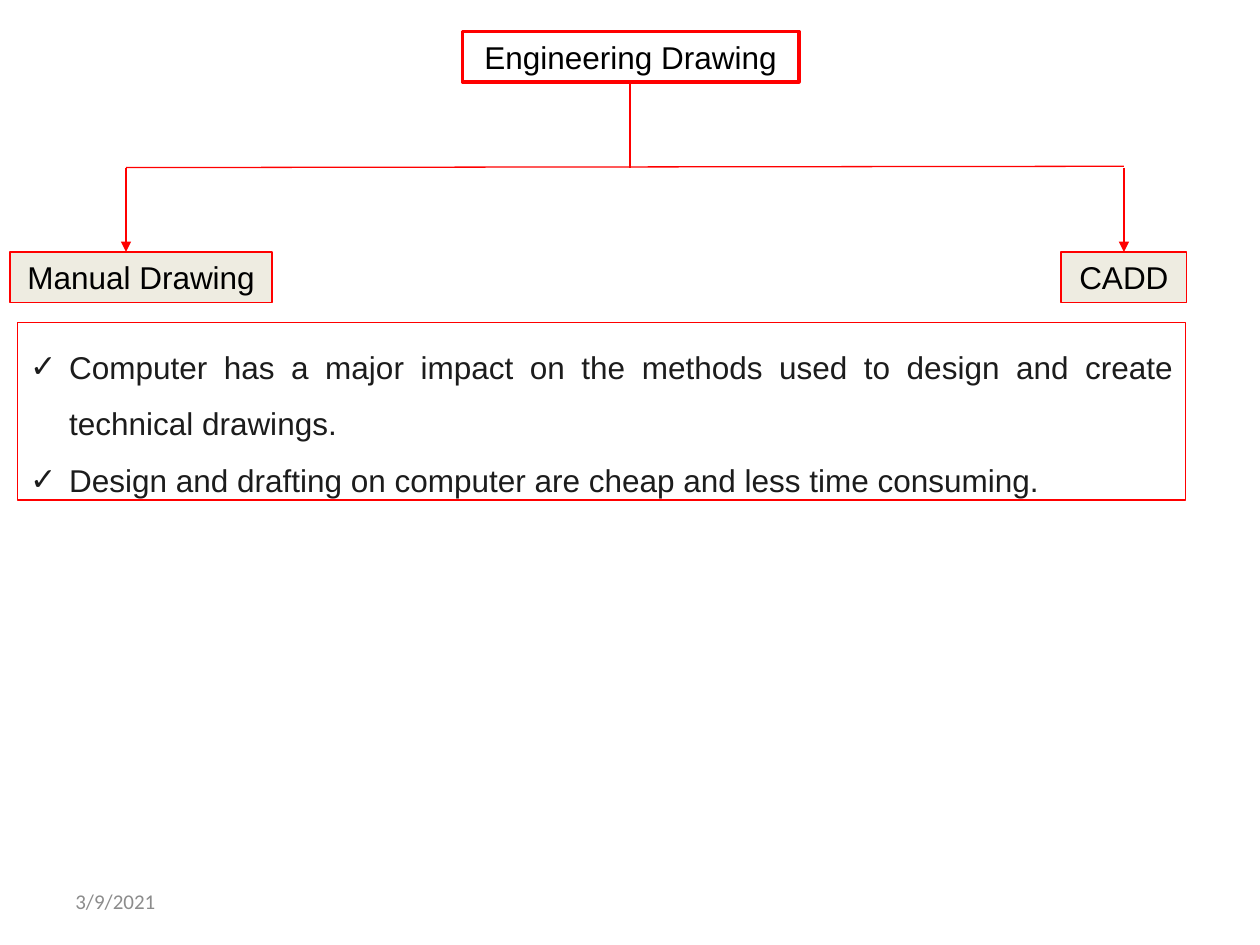
from lxml import etree
from pptx import Presentation
from pptx.dml.color import RGBColor
from pptx.enum.shapes import MSO_CONNECTOR, MSO_SHAPE
from pptx.enum.text import MSO_ANCHOR, MSO_AUTO_SIZE, PP_ALIGN
from pptx.oxml.ns import qn
from pptx.util import Inches, Pt

RECTANGLE = MSO_SHAPE.RECTANGLE
STRAIGHT = MSO_CONNECTOR.STRAIGHT
CENTER, JUSTIFY, LEFT = PP_ALIGN.CENTER, PP_ALIGN.JUSTIFY, PP_ALIGN.LEFT
TOP, MIDDLE = MSO_ANCHOR.TOP, MSO_ANCHOR.MIDDLE
GROW = MSO_AUTO_SIZE.SHAPE_TO_FIT_TEXT

RED, WHITE, CREAM = "FF0000", "FFFFFF", "EEECE1"
BLACK, CHARCOAL, GREY = "000000", "1C1C1C", "8C8C8C"
INDENT = 0.31

ADVANTAGES = [
    "Computer has a major impact on the methods used to design and create technical drawings.",
    "Design and drafting on computer are cheap and less time consuming.",
]


def color(value):
    return RGBColor.from_string(value)


def format_paragraph(paragraph, alignment, size, font_name, font_color):
    paragraph.alignment = alignment
    for run in paragraph.runs:
        run.font.size = Pt(size)
        run.font.name = font_name
        run.font.color.rgb = color(font_color)


def add_bullet(paragraph, character):
    properties = paragraph._p.get_or_add_pPr()
    properties.set("marL", str(Inches(INDENT)))
    properties.set("indent", str(-Inches(INDENT)))
    etree.SubElement(properties, qn("a:buFont")).set("typeface", "Arial")
    etree.SubElement(properties, qn("a:buChar")).set("char", character)


def add_frame(slide, box, fill=None, line_width=0.75):
    shape = slide.shapes.add_shape(RECTANGLE, *map(Inches, box))
    shape.shadow.inherit = False
    if fill:
        shape.fill.solid()
        shape.fill.fore_color.rgb = color(fill)
    else:
        shape.fill.background()
    shape.line.color.rgb = color(RED)
    shape.line.width = Pt(line_width)
    shape.text_frame.word_wrap = True
    shape.text_frame.auto_size = GROW
    shape.text_frame.vertical_anchor = TOP
    return shape


def add_label(slide, box, text, fill, line_width=0.75):
    shape = add_frame(slide, box, fill, line_width)
    shape.text_frame.text = text
    format_paragraph(shape.text_frame.paragraphs[0], CENTER, 18, "Arial", BLACK)


def add_line(slide, start, end, arrow=False):
    connector = slide.shapes.add_connector(STRAIGHT, *map(Inches, (*start, *end)))
    connector.line.color.rgb = color(RED)
    connector.line.width = Pt(0.75)
    if arrow:
        line = connector.line._get_or_add_ln()
        etree.SubElement(line, qn("a:tailEnd")).set("type", "triangle")
    etree.SubElement(connector._element.spPr, qn("a:effectLst"))


def add_tree(slide, box):
    """Root label on top, with two branches leading to the leaf labels."""
    left, top, width, height = box
    label_height = 0.4
    leaf_top = top + height - label_height
    branch_top = leaf_top - 0.67
    root_x, left_x, right_x = 5, 1, 8.92

    # Labels
    add_label(slide, (3.67, top, 2.67, label_height), "Engineering Drawing", WHITE, 2)
    add_label(slide, (left, leaf_top, 2.08, label_height), "Manual Drawing", CREAM)
    add_label(slide, (left + width - 1, leaf_top, 1, label_height), "CADD", CREAM)

    # Trunk, crossbar and arrows
    add_line(slide, (root_x, 0.67), (root_x, branch_top))
    add_line(slide, (left_x, branch_top), (right_x, branch_top - 0.01))
    for x in (left_x, right_x):
        add_line(slide, (x, branch_top), (x, leaf_top), arrow=True)


def add_advantages(slide, box):
    text_frame = add_frame(slide, box).text_frame
    text_frame.text = "\n".join(ADVANTAGES)
    for paragraph in text_frame.paragraphs:
        add_bullet(paragraph, "✓")
        paragraph.line_spacing = 1.5
        format_paragraph(paragraph, JUSTIFY, 18, "Arial", CHARCOAL)


def add_date(slide, box):
    text_frame = slide.shapes.add_textbox(*map(Inches, box)).text_frame
    text_frame.word_wrap = True
    text_frame.vertical_anchor = MIDDLE
    text_frame.text = "3/9/2021"
    format_paragraph(text_frame.paragraphs[0], LEFT, 12, "Calibri", GREY)


def main():
    presentation = Presentation()
    presentation.slide_width = Inches(10)
    presentation.slide_height = Inches(7.5)
    slide = presentation.slides.add_slide(presentation.slide_layouts[6])
    add_advantages(slide, (0.14, 2.56, 9.27, 1.41))
    add_tree(slide, (0.08, 0.25, 9.34, 2.15))
    add_date(slide, (0.5, 6.95, 2.33, 0.4))
    presentation.save("out.pptx")


if __name__ == "__main__":
    main()
